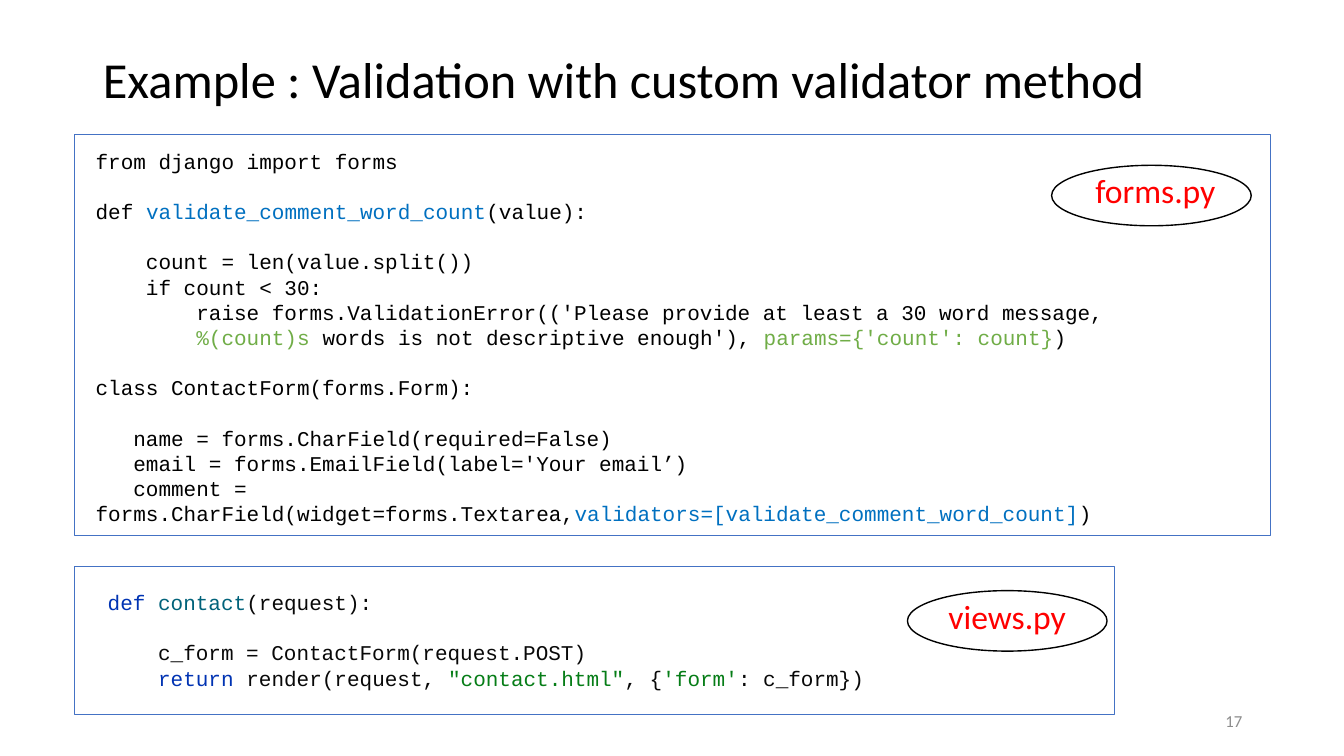
from lxml import etree
from pptx import Presentation
from pptx.dml.color import RGBColor
from pptx.enum import shapes, text
from pptx.util import Inches, Pt

HUES = {
    "black": "000000", "red": "FF0000", "gray": "8C8C8C", "frame": "4472C4",
    "blue": "0070C0", "lime": "70AD47", "key": "0033B3", "name": "00627A",
    "ink": "080808", "str": "067D17",
}

# Each line is (blank line above, runs); each run is (text, hue).
FORMS = [
    (False, [("from django import forms", "black")]),
    (True, [("def ", "black"), ("validate_comment_word_count", "blue"),
            ("(value):", "black")]),
    (True, [("    count = len(value.split())", "black")]),
    (False, [("    if count < 30:", "black")]),
    (False, [("        raise forms.ValidationError(('Please provide at least "
              "a 30 word message,", "black")]),
    (False, [("        %(count)s ", "lime"),
             ("words is not descriptive enough'), ", "black"),
             ("params={'count': count}", "lime"), (")", "black")]),
    (True, [("class ContactForm(forms.Form):", "black")]),
    (True, [("   name = forms.CharField(required=False)", "black")]),
    (False, [("   email = forms.EmailField(label='Your email’)", "black")]),
    (False, [("   comment = forms.CharField(widget=forms.Textarea,", "black"),
             ("validators=[validate_comment_word_count]", "blue"),
             (")", "black")]),
]
VIEWS = [
    (False, [("def ", "key"), ("contact", "name"), ("(request):", "ink")]),
    (True, [("    c_form = ContactForm(request.POST)", "ink")]),
    (False, [("    return ", "key"), ("render(request, ", "ink"),
             ('"contact.html"', "str"), (", {", "ink"), ("'form'", "str"),
             (": c_form})", "ink")]),
]


def color(hue):
    return RGBColor.from_string(HUES[hue])


def add_run(para, words, size, hue, face="Calibri"):
    run = para.add_run()
    run.text = words
    run.font.size = Pt(size)
    run.font.name = face
    run.font.color.rgb = color(hue)


def add_title(slide, words):
    title = slide.shapes.title
    title.left, title.top = Inches(0.92), Inches(0.39)
    title.width, title.height = Inches(11.5), Inches(0.86)
    frame = title.text_frame
    frame.auto_size = text.MSO_AUTO_SIZE.NONE
    frame.vertical_anchor = text.MSO_ANCHOR.MIDDLE
    para = frame.paragraphs[0]
    para.alignment = text.PP_ALIGN.LEFT
    para.line_spacing = 0.9
    add_run(para, words, 36, "black")


def add_outline(slide, kind, box, hue, width):
    shape = slide.shapes.add_shape(kind, *map(Inches, box))
    shape.shadow.inherit = False
    shape.fill.background()
    shape.line.color.rgb = color(hue)
    shape.line.width = Pt(width)


def add_box(slide, box):
    frame = slide.shapes.add_textbox(*map(Inches, box)).text_frame
    frame.word_wrap = True
    return frame


def add_code(slide, panel, box, lines):
    add_outline(slide, shapes.MSO_SHAPE.RECTANGLE, panel, "frame", 0.75)
    frame = add_box(slide, box)
    for i, (gap, runs) in enumerate(lines):
        para = frame.add_paragraph() if i else frame.paragraphs[0]
        if gap:
            para.space_before = Pt(18)
        for words, hue in runs:
            add_run(para, words, 15, hue, "Courier New")


def add_label(slide, left, top, inset, words):
    """Put a file name inside an ellipse."""
    para = add_box(slide, (left + inset, top, 1.66, 0.5)).paragraphs[0]
    para.alignment = text.PP_ALIGN.CENTER
    add_run(para, words, 24, "red")
    add_outline(slide, shapes.MSO_SHAPE.OVAL, (left, top, 1.98, 0.6),
                "black", 1)


def add_number(slide, words):
    frame = add_box(slide, (9.42, 6.95, 3, 0.4))
    frame.vertical_anchor = text.MSO_ANCHOR.MIDDLE
    para = frame.paragraphs[0]
    para.alignment = text.PP_ALIGN.RIGHT
    add_run(para, words, 12, "gray")


def main():
    deck = Presentation()
    deck.slide_width, deck.slide_height = Inches(13.33), Inches(7.5)
    slide = deck.slides.add_slide(deck.slide_layouts[5])
    add_title(slide, "Example : Validation with custom validator method")
    add_code(slide, (0.74, 1.33, 11.86, 3.98), (0.85, 1.42, 11.62, 3.89),
             FORMS)
    add_code(slide, (0.74, 5.62, 10.31, 1.47), (0.97, 5.8, 9.85, 1.11),
             VIEWS)
    add_label(slide, 10.43, 1.64, 0.2, "forms.py")
    add_label(slide, 9, 5.86, 0.16, "views.py")
    add_number(slide, "17")
    deck.save("out.pptx")


if __name__ == "__main__":
    main()
